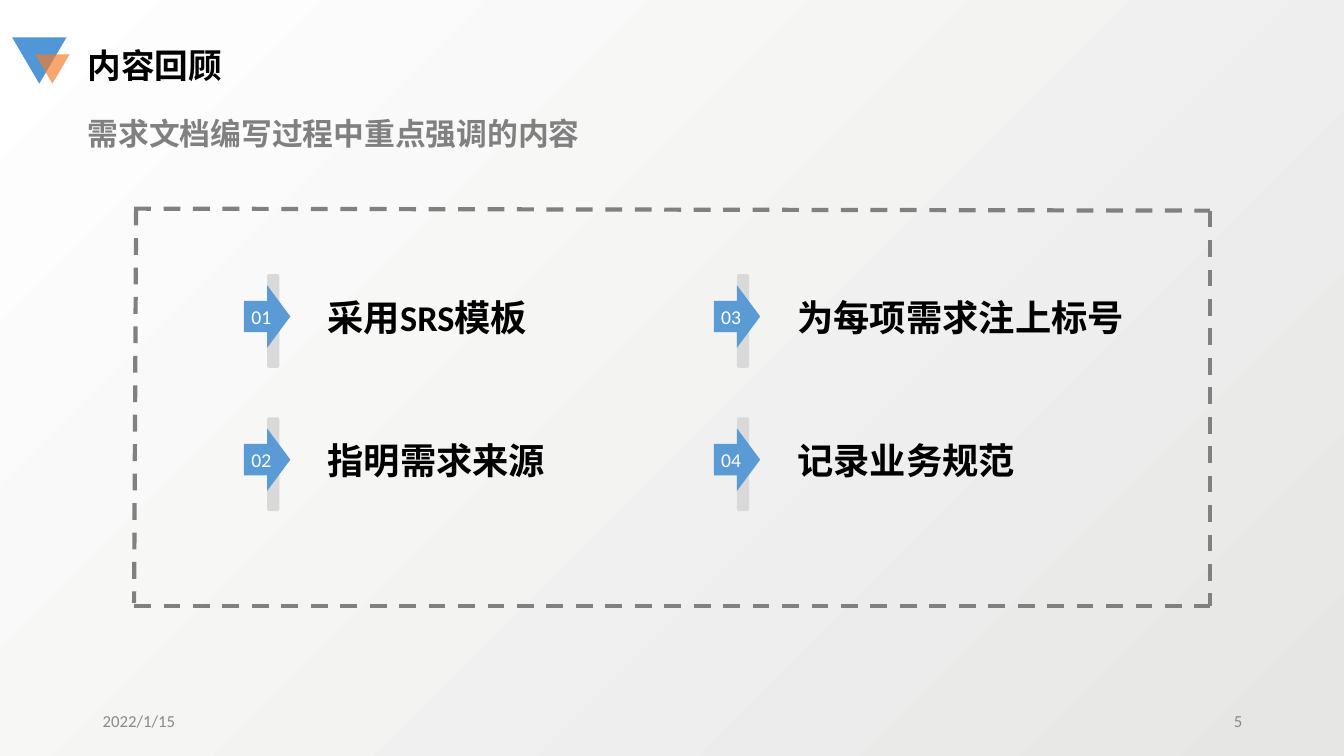
from dataclasses import dataclass

from lxml.etree import SubElement
from pptx import Presentation
from pptx.dml.color import RGBColor
from pptx.enum.dml import MSO_LINE_DASH_STYLE as Dash
from pptx.enum.shapes import MSO_CONNECTOR_TYPE as Connector
from pptx.enum.shapes import MSO_SHAPE as Preset
from pptx.enum.text import MSO_ANCHOR as Anchor
from pptx.enum.text import PP_ALIGN as Align
from pptx.oxml.ns import qn
from pptx.util import Inches, Pt


@dataclass(frozen=True)
class Theme:
    latin: str = "Calibri"
    cjk: str = "Noto Sans CJK SC"
    black: str = "000000"
    white: str = "FFFFFF"
    gray: str = "808080"
    footer_gray: str = "898989"
    bar_gray: str = "D9D9D9"
    arrow_blue: str = "5B9BD5"
    logo_blue: str = "5197D7"
    logo_orange: str = "F37D2A"
    backdrop: tuple = ("E6E6E5", "FFFFFF")
    title_size: float = 24
    subtitle_size: float = 22
    item_size: float = 25.9
    number_size: float = 14
    footer_size: float = 12


theme = Theme()


def add_solid(shapes, preset, box, color):
    """Add a preset shape with a plain fill, no outline and no shadow."""
    shape = shapes.add_shape(preset, *map(Inches, box))
    shape.shadow.inherit = False
    shape.fill.solid()
    shape.fill.fore_color.rgb = RGBColor.from_string(color)
    shape.line.fill.background()
    return shape


def write_text(shape, text, size, color, font=theme.latin, bold=False,
               anchor=Anchor.MIDDLE, align=Align.LEFT, wrap=True):
    """Fill a shape with one styled paragraph and return it."""
    frame = shape.text_frame
    frame.word_wrap = wrap
    frame.vertical_anchor = anchor
    paragraph = frame.paragraphs[0]
    paragraph.alignment = align
    run = paragraph.add_run()
    run.text = text
    for name, value in {"size": Pt(size), "bold": bold, "name": font}.items():
        setattr(run.font, name, value)
    run.font.color.rgb = RGBColor.from_string(color)
    SubElement(run.font._element, qn("a:ea"), typeface=theme.cjk)
    return paragraph


presentation = Presentation()
presentation.slide_width = Inches(13.33)
presentation.slide_height = Inches(7.5)
slide = presentation.slides.add_slide(presentation.slide_layouts[6])

# Background
backdrop = slide.background.fill
backdrop.gradient()
backdrop.gradient_angle = 135
for stop, color, position in zip(backdrop.gradient_stops, theme.backdrop, (0, 1)):
    stop.color.rgb = RGBColor.from_string(color)
    stop.position = position

# Corner triangles
large_triangle = add_solid(slide.shapes, Preset.ISOSCELES_TRIANGLE,
                           (0.12, 0.37, 0.54, 0.46), theme.logo_blue)
small_triangle = add_solid(slide.shapes, Preset.ISOSCELES_TRIANGLE,
                           (0.35, 0.54, 0.34, 0.29), theme.logo_orange)
for triangle in (large_triangle, small_triangle):
    triangle.rotation = 180
orange = small_triangle.fill._xPr.find(qn("a:solidFill"))[0]
SubElement(orange, qn("a:alpha"), val="68000")

# Headings and footer
heading = {"font": theme.cjk, "bold": True, "anchor": Anchor.TOP}
footer = {"size": theme.footer_size, "color": theme.footer_gray}
labels = [
    ((0.77, 0.4, 3.52, 0.5), "内容回顾",
     {"size": theme.title_size, "color": theme.black, **heading}),
    ((0.92, 6.95, 3, 0.4), "2022/1/15", footer),
    ((9.42, 6.95, 3, 0.4), "5", {**footer, "align": Align.RIGHT}),
    ((0.77, 1.09, 5.3, 0.47), "需求文档编写过程中重点强调的内容",
     {"size": theme.subtitle_size, "color": theme.gray, **heading}),
]
for box, text, style in labels:
    write_text(slide.shapes.add_textbox(*map(Inches, box)), text, **style)

# Numbered items, filled column by column
items = ["采用SRS模板", "指明需求来源", "为每项需求注上标号", "记录业务规范"]
item_group = slide.shapes.add_group_shape().shapes
for index, text in enumerate(items):
    column, row = divmod(index, 2)
    left = 2.42 + 4.66 * column
    top = 2.72 + 1.42 * row
    label = item_group.add_textbox(Inches(left + 0.73), Inches(top + 0.22),
                                   Inches(4.59), Inches(0.48))
    paragraph = write_text(label, text, theme.item_size, theme.black, bold=True)
    paragraph.line_spacing = 0.8
    add_solid(item_group, Preset.ROUNDED_RECTANGLE,
              (left + 0.23, top, 0.12, 0.93), theme.bar_gray)
    arrow = add_solid(item_group, Preset.RIGHT_ARROW,
                      (left, top + 0.11, 0.46, 0.62), theme.arrow_blue)
    write_text(arrow, f"{index + 1:02}", theme.number_size, theme.white,
               align=Align.CENTER, wrap=False)

# Dashed frame
frame_lines = [
    (1.33, 2.07, 12, 2.09),
    (1.35, 2.07, 1.33, 5.98),
    (12, 2.09, 12, 6.01),
    (1.33, 6.01, 12, 6.01),
]
frame_group = slide.shapes.add_group_shape().shapes
for ends in frame_lines:
    edge = frame_group.add_connector(Connector.STRAIGHT, *map(Inches, ends))
    edge.line.color.rgb = RGBColor.from_string(theme.gray)
    edge.line.width = Pt(3)
    edge.line.dash_style = Dash.DASH
    SubElement(edge._element.spPr, qn("a:effectLst"))

presentation.save("out.pptx")
